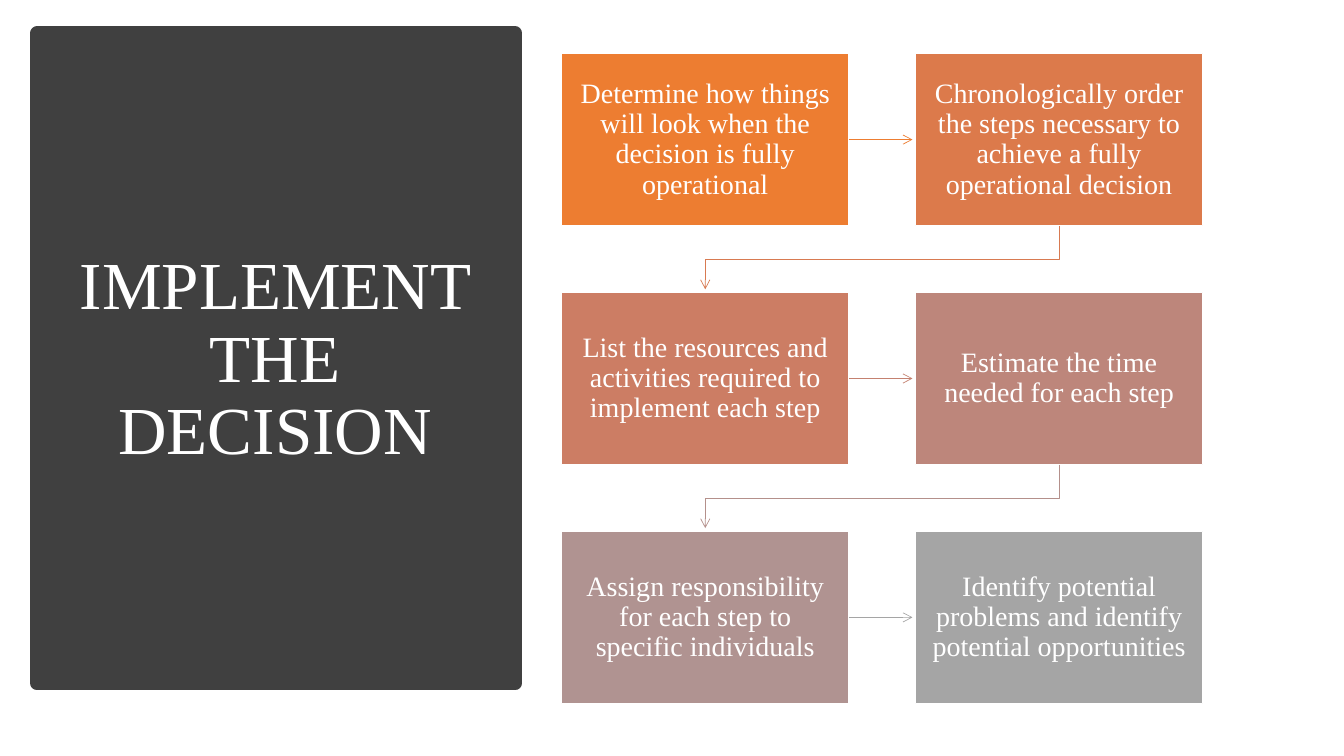
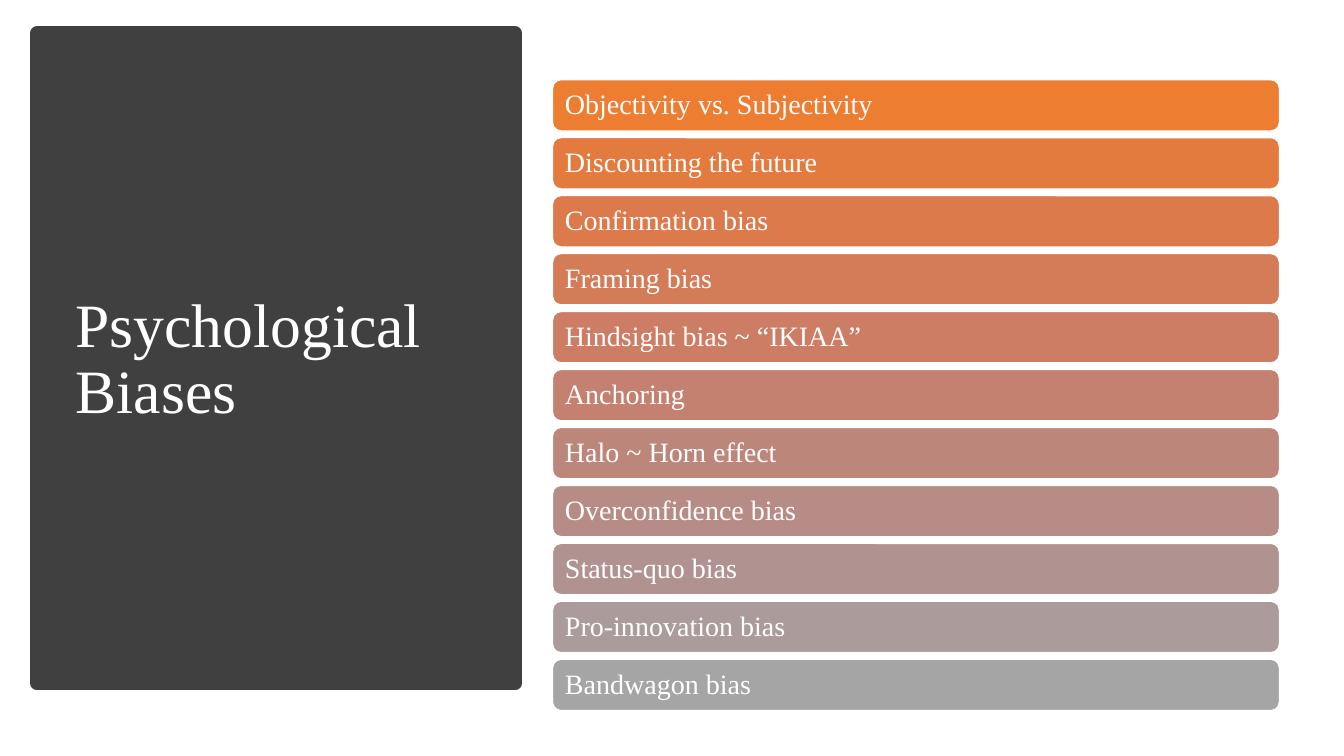
"""Builds two slides: steps to implement a decision, and a list of biases."""
from pptx import Presentation
from pptx.dml.color import RGBColor
from pptx.enum import shapes, text
from pptx.oxml import ns, xmlchemy
from pptx import util as u

STEPS = [
    "Determine how things will look when the decision is fully operational",
    "Chronologically order the steps necessary to achieve a fully operational decision",
    "List the resources and activities required to implement each step",
    "Estimate the time needed for each step",
    "Assign responsibility for each step to specific individuals",
    "Identify potential problems and identify potential opportunities",
]
BIASES = [
    "Objectivity vs. Subjectivity", "Discounting the future", "Confirmation bias",
    "Framing bias", "Hindsight bias ~ “IKIAA”", "Anchoring", "Halo ~ Horn effect",
    "Overconfidence bias", "Status-quo bias", "Pro-innovation bias", "Bandwagon bias",
]
HUES = {"panel": "404040", "white": "FFFFFF"}
RAMP = ["ED7D31", "E47B3E", "DC7A4B", "D47B58", "CC7D64", "C48170",
        "BD867B", "B78C86", "B09391", "AB9C9B", "A5A5A5"]
LINKS = ["ED7D31", "D87A51", "C48170", "B4908B", "A5A5A5"]
FONT = "Times New Roman"
PANEL = (0.37, 0.33, 4.74, 6.45)
TITLE = (0.65, 0.7, 4.16, 5.75)
GRID = {"left": 5.57, "top": 0.53, "dx": 3.51, "dy": 2.37, "w": 2.85, "h": 1.71}
BARS = {"left": 5.48, "top": 0.79, "dy": 0.575, "w": 7.21, "h": 0.51}
GAP = 0.03
LEFT, MID = text.PP_ALIGN.LEFT, text.PP_ALIGN.CENTER
RECT, ROUND = shapes.MSO_SHAPE.RECTANGLE, shapes.MSO_SHAPE.ROUNDED_RECTANGLE


def write(shape, words, size=20, align=LEFT, inset=(0.1, 0.05)):
    """Fill a shape with one formatted paragraph."""
    frame = shape.text_frame
    frame.text = words
    frame.word_wrap = True
    frame.auto_size = text.MSO_AUTO_SIZE.NONE
    frame.vertical_anchor = text.MSO_ANCHOR.MIDDLE
    frame.margin_left = frame.margin_right = u.Inches(inset[0])
    frame.margin_top = frame.margin_bottom = u.Inches(inset[1])
    para = frame.paragraphs[0]
    para.alignment, para.line_spacing = align, 0.9
    para.font.size, para.font.name = u.Pt(size), FONT
    para.font.color.rgb = RGBColor.from_string(HUES["white"])


def block(slide, kind, box, fill, line, width=1):
    """Add a filled preset shape."""
    shape = slide.shapes.add_shape(kind, *map(u.Inches, box))
    shape.shadow.inherit = False
    shape.fill.solid()
    shape.fill.fore_color.rgb = RGBColor.from_string(fill)
    shape.line.color.rgb = RGBColor.from_string(line)
    shape.line.width = u.Pt(width)
    return shape


def arrow(slide, points, hue):
    """Draw a straight or bent arrow through the points."""
    spots = [tuple(map(u.Inches, point)) for point in points]
    if len(spots) == 2:
        link = slide.shapes.add_connector(
            shapes.MSO_CONNECTOR.STRAIGHT, *spots[0], *spots[1])
    else:
        path = slide.shapes.build_freeform(*spots[0])
        path.add_line_segments(spots[1:], close=False)
        link = path.convert_to_shape()
        link.fill.background()
    link.line.color.rgb = RGBColor.from_string(hue)
    link.line.width = u.Pt(0.5)
    props = link._element.spPr
    tail = xmlchemy.OxmlElement("a:tailEnd")
    tail.set("type", "arrow")
    props.find(ns.qn("a:ln")).append(tail)
    props.append(xmlchemy.OxmlElement("a:effectLst"))


def page(deck, words, size, align):
    """Add a slide with the dark title panel."""
    slide = deck.slides.add_slide(deck.slide_layouts[5])
    panel = block(slide, RECT, PANEL, HUES["panel"], HUES["panel"], 10)
    title = slide.shapes.title
    title._element.addprevious(panel._element)
    title.left, title.top, title.width, title.height = map(u.Inches, TITLE)
    write(title, words, size, align)
    return slide


def flow(slide):
    """Lay the steps out in two columns joined by arrows."""
    wide, high = GRID["w"], GRID["h"]
    cells = [(GRID["left"] + i % 2 * GRID["dx"], GRID["top"] + i // 2 * GRID["dy"])
             for i in range(len(STEPS))]
    for (x, y), words, hue in zip(cells, STEPS, RAMP[::2]):
        box = block(slide, RECT, (x, y, wide, high), hue, HUES["white"])
        write(box, words, align=MID, inset=(0.14, 0.15))
    for (x, y), (nx, ny), hue in zip(cells, cells[1:], LINKS):
        if y == ny:
            mid = y + high / 2
            points = [(x + wide, mid), (nx - GAP, mid)]
        else:
            start, end = x + wide / 2, nx + wide / 2
            turn = (y + high + ny) / 2
            points = [(start, y + high), (start, turn), (end, turn), (end, ny - GAP)]
        arrow(slide, points, hue)


def stack(slide):
    """Pile the biases up as bars."""
    for i, (words, hue) in enumerate(zip(BIASES, RAMP)):
        box = (BARS["left"], BARS["top"] + i * BARS["dy"], BARS["w"], BARS["h"])
        write(block(slide, ROUND, box, hue, HUES["white"]), words)


def main():
    """Build and save the deck."""
    deck = Presentation()
    deck.slide_width, deck.slide_height = u.Inches(13.33), u.Inches(7.5)
    flow(page(deck, "IMPLEMENT THE DECISION", 48, MID))
    stack(page(deck, "Psychological Biases", 44, LEFT))
    deck.save("out.pptx")


if __name__ == "__main__":
    main()
